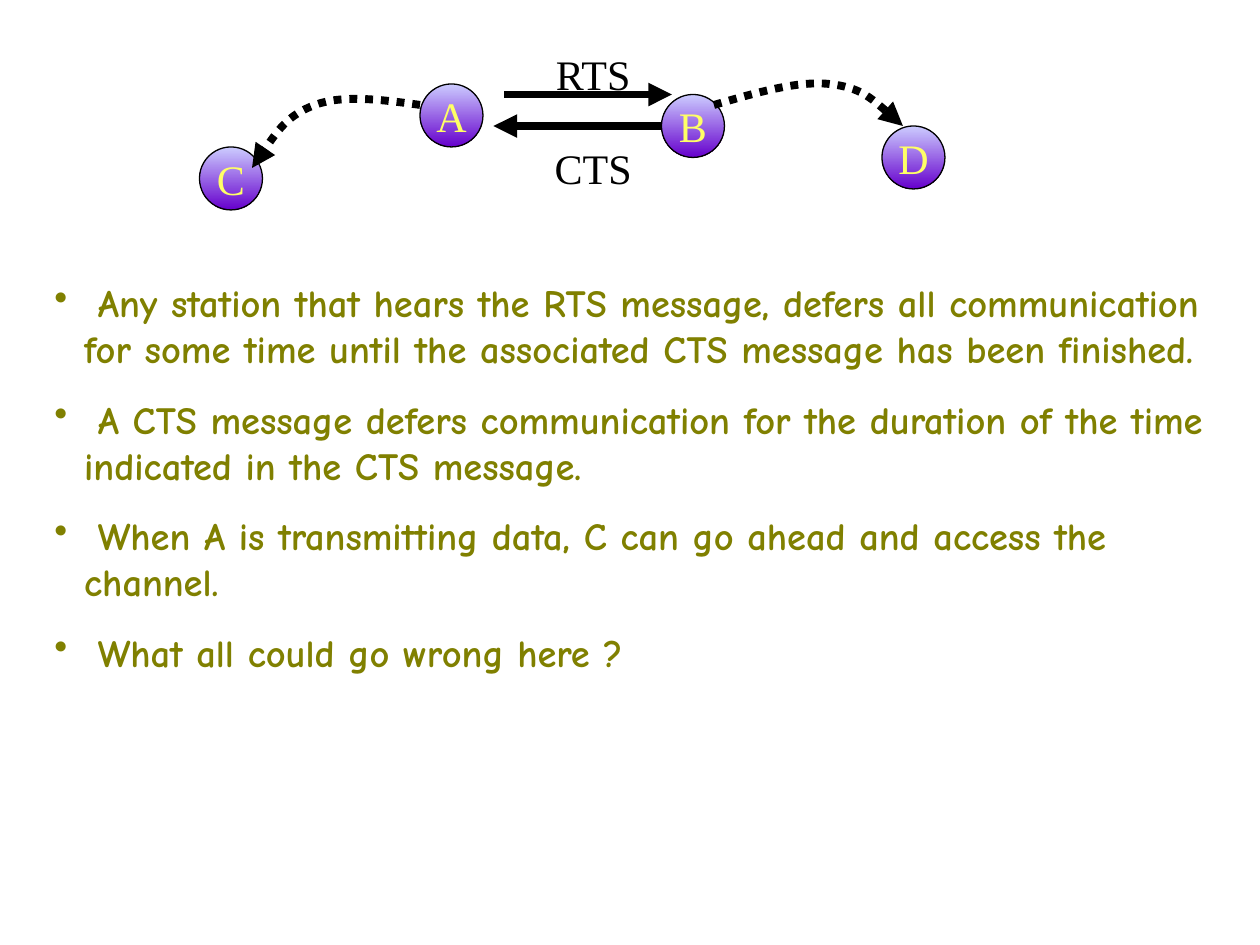
from dataclasses import dataclass

from lxml.etree import SubElement
from pptx import Presentation
from pptx.dml.color import RGBColor
from pptx.enum.dml import MSO_LINE
from pptx.enum.shapes import MSO_CONNECTOR, MSO_SHAPE
from pptx.enum.text import MSO_ANCHOR, PP_ALIGN
from pptx.oxml.ns import qn
from pptx.util import Pt


@dataclass(frozen=True)
class Theme:
    node_top: RGBColor = RGBColor(0xCC, 0xCC, 0xFF)
    node_bottom: RGBColor = RGBColor(0x66, 0x00, 0xCC)
    node_text: RGBColor = RGBColor(0xFF, 0xFF, 0x66)
    ink: RGBColor = RGBColor(0, 0, 0)
    body: RGBColor = RGBColor(0x80, 0x80, 0x00)
    diagram_font: str = "Times New Roman"
    body_font: str = "Comic Neue"
    diagram_size: float = 24
    body_size: float = 22
    outline: float = 0.75
    arrow: float = 4.5


T = Theme()
NODE = 36
STATIONS = {"A": (126, 24), "D": (390, 48), "C": (0, 60), "B": (264, 30)}
MESSAGES = [((174, 30), (270, 30)), ((264, 48), (168, 48))]
# Start point, then two control points and an end point for each curve
OVERHEARD = [
    [(126, 36), (104, 33), (82, 30), (66, 36), (50, 42), (40, 57), (30, 72)],
    [(294, 36), (318, 29), (342, 22), (360, 24), (378, 26), (390, 37), (402, 48)],
]
LABELS = [("RTS", 186, 0, 78), ("CTS", 192, 54, 66)]
POINTS = [
    " Any station that hears the RTS message, defers all communication for some "
    "time until the associated CTS message has been finished.",
    " A CTS message defers communication for the duration of the time indicated "
    "in the CTS message.",
    " When A is transmitting data, C can go ahead and access the channel.",
    " What all could go wrong here ?",
]


def style_text(p, font, size, color, bold=False):
    for r in p.runs:
        r.font.name, r.font.size, r.font.bold = font, Pt(size), bold
        r.font.color.rgb = color


def style_arrow(sp):
    sp.line.color.rgb = T.ink
    sp.line.width = Pt(T.arrow)
    ln = sp._element.xpath(".//a:ln")[0]
    SubElement(ln, qn("a:tailEnd"), type="triangle")


def add_station(shapes, name, x, y):
    sp = shapes.add_shape(MSO_SHAPE.OVAL, Pt(x), Pt(y), Pt(NODE), Pt(NODE))
    sp.shadow.inherit = False
    sp.fill.gradient()
    sp.fill.gradient_angle = 270
    for stop, color in zip(sp.fill.gradient_stops, (T.node_top, T.node_bottom)):
        stop.color.rgb = color
    sp.line.color.rgb = T.ink
    sp.line.width = Pt(T.outline)
    tf = sp.text_frame
    tf.text = name
    tf.word_wrap = False
    tf.vertical_anchor = MSO_ANCHOR.MIDDLE
    p = tf.paragraphs[0]
    p.alignment = PP_ALIGN.CENTER
    style_text(p, T.diagram_font, T.diagram_size, T.node_text)


def add_message_arrow(shapes, start, end):
    sp = shapes.add_connector(MSO_CONNECTOR.STRAIGHT, *map(Pt, start + end))
    style_arrow(sp)
    SubElement(sp._element.spPr, qn("a:effectLst"))


def add_curved_arrow(shapes, points):
    """Outline the points, then join each three line points into one Bézier."""
    start, *rest = [(Pt(x), Pt(y)) for x, y in points]
    builder = shapes.build_freeform(*start)
    builder.add_line_segments(rest, close=False)
    sp = builder.convert_to_shape()
    steps = sp._element.xpath(".//a:lnTo")
    for i in range(0, len(steps), 3):
        curve = SubElement(steps[i].getparent(), qn("a:cubicBezTo"))
        for step in steps[i:i + 3]:
            curve.append(step[0])
            step.getparent().remove(step)
    sp.shadow.inherit = False
    sp.fill.background()
    sp.line.dash_style = MSO_LINE.ROUND_DOT
    style_arrow(sp)


def add_label(shapes, text, x, y, w):
    tf = shapes.add_textbox(Pt(x), Pt(y), Pt(w), Pt(36)).text_frame
    tf.text = text
    tf.word_wrap = True
    p = tf.paragraphs[0]
    p.alignment = PP_ALIGN.CENTER
    p.space_before = Pt(15)
    style_text(p, T.diagram_font, T.diagram_size, T.ink)


def add_diagram(s, left, top):
    def at(point):
        return left + point[0], top + point[1]

    shapes = s.shapes.add_group_shape().shapes
    for name, corner in STATIONS.items():
        add_station(shapes, name, *at(corner))
    for start, end in MESSAGES:
        add_message_arrow(shapes, at(start), at(end))
    for points in OVERHEARD:
        add_curved_arrow(shapes, [at(pt) for pt in points])
    for text, x, y, w in LABELS:
        add_label(shapes, text, *at((x, y)), w)


def add_bullets(s, left, top, width, height):
    tf = s.shapes.add_textbox(Pt(left), Pt(top), Pt(width), Pt(height)).text_frame
    tf.word_wrap = True
    tf.text = "\n".join(POINTS)
    for p in tf.paragraphs:
        p.space_before = Pt(13.8)
        style_text(p, T.body_font, T.body_size, T.body, bold=True)
        pPr = p._p.get_or_add_pPr()
        pPr.set("marL", str(Pt(17)))
        pPr.set("indent", str(-Pt(17)))
        color = SubElement(pPr, qn("a:buClr"))
        SubElement(color, qn("a:srgbClr"), val=str(T.body))
        SubElement(pPr, qn("a:buChar"), char="•")


def main():
    prs = Presentation()
    prs.slide_width, prs.slide_height = Pt(720), Pt(540)
    s = prs.slides.add_slide(prs.slide_layouts[6])
    add_diagram(s, 114, 24)
    add_bullets(s, 24, 156, 672, 233)
    prs.save("out.pptx")


if __name__ == "__main__":
    main()
